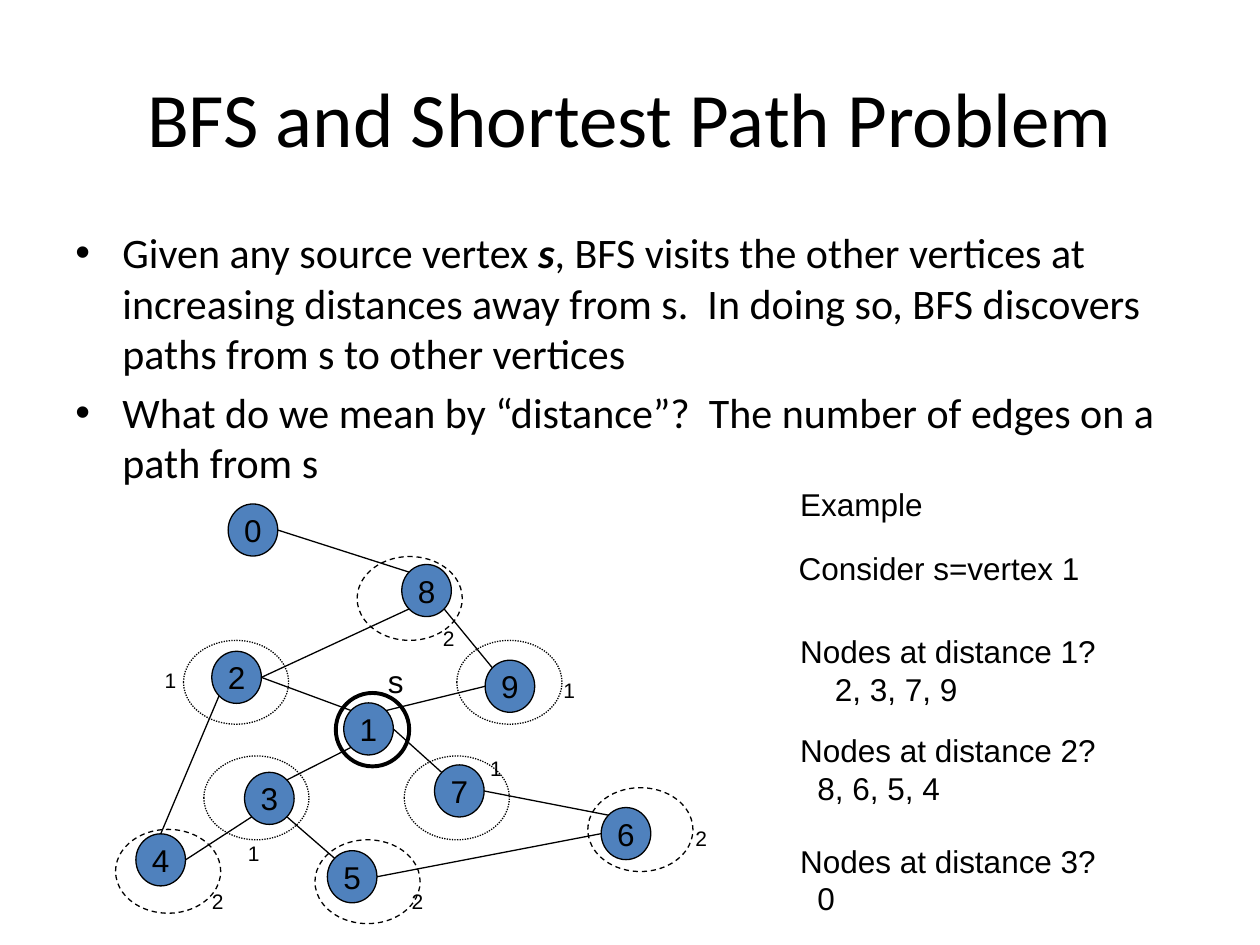
from math import cos, radians, sin

from lxml.etree import SubElement
from pptx import Presentation
from pptx.dml.color import RGBColor
from pptx.enum.dml import MSO_LINE
from pptx.enum.shapes import MSO_CONNECTOR, MSO_SHAPE
from pptx.enum.text import MSO_ANCHOR, MSO_AUTO_SIZE, PP_ALIGN
from pptx.oxml.ns import qn
from pptx.util import Cm, Pt

BLACK = "000000"
NODE_BLUE = "4F81BD"
NODE_WIDTH, NODE_HEIGHT = 1.0, 1.05
RING_WIDTH, RING_HEIGHT = 2.12, 1.69

VERTICES = {
    "2": (4.27, 13.13), "4": (2.74, 16.81), "3": (4.93, 15.57),
    "5": (6.6, 17.15), "1": (6.93, 14.17), "7": (8.76, 15.42),
    "6": (12.12, 16.28), "9": (9.78, 13.31), "8": (8.1, 11.38),
    "0": (4.6, 10.16),
}
BEARINGS = {"E": 0, "SE": 45, "SW": 135, "W": 180, "NW": 225, "N": 270, "NE": 315}
EDGES = [
    ("0", "E", "8", "NW"), ("8", "SE", "9", "NW"), ("9", "W", "1", "NE"),
    ("8", "SW", "2", "E"), ("2", "E", "1", "NW"), ("2", "SW", "4", "N"),
    ("4", "E", "3", "SW"), ("3", "NE", "1", "SW"), ("3", "SE", "5", "NW"),
    ("5", "E", "6", "W"), ("1", "E", "7", "NW"), ("7", "E", "6", "NW"),
]
DISTANCE_LEVELS = [
    ("1", MSO_LINE.ROUND_DOT,
     [(3.7, 12.91), (4.11, 15.24), (8.15, 15.24), (9.21, 12.91)],
     [(11.11, 13.53), (9.63, 15.11), (3.07, 13.34), (4.75, 16.81)]),
    ("2", MSO_LINE.DASH,
     [(7.2, 11.22), (2.33, 16.72), (6.35, 16.93), (11.85, 15.88)],
     [(13.77, 16.51), (8.05, 17.78), (4.02, 17.78), (8.68, 12.49)]),
]
BULLETS = [
    [("Given any source vertex ", False), ("s", True),
     (", BFS visits the other vertices at increasing distances away from s.  "
      "In doing so, BFS discovers paths from s to other vertices", False)],
    [("What do we mean by “distance”?  The number of edges on a path from s", False)],
]
QUESTIONS = [
    (12.62, "Nodes at distance 1?", "2, 3, 7, 9", 0.7),
    (14.61, "Nodes at distance 2?", "8, 6, 5, 4", 0.35),
    (16.84, "Nodes at distance 3?", "0", 0.35),
]


def rgb(value):
    """Turn a hex string into a colour."""
    return RGBColor.from_string(value)


def style_runs(paragraph, size, font="Arial"):
    """Apply size, font and black to every run of a paragraph."""
    for run in paragraph.runs:
        run.font.size = Pt(size)
        run.font.name = font
        run.font.color.rgb = rgb(BLACK)


def set_indent(paragraph, margin, first_line=0):
    """Set the left margin and first-line indent in centimetres."""
    properties = paragraph._p.get_or_add_pPr()
    properties.set("marL", str(Cm(margin)))
    properties.set("indent", str(Cm(first_line)))
    return properties


def add_title(slide, text):
    """Place and format the title placeholder."""
    title = slide.shapes.title
    title.left, title.top = Cm(1.27), Cm(0.76)
    title.width, title.height = Cm(22.86), Cm(3.18)
    title.text_frame.text = text
    title.text_frame.vertical_anchor = MSO_ANCHOR.MIDDLE
    heading = title.text_frame.paragraphs[0]
    heading.alignment = PP_ALIGN.CENTER
    style_runs(heading, 44, "Calibri")


def add_bullets(slide, bullets):
    """Add the bulleted explanation."""
    body = slide.shapes.add_textbox(Cm(1.27), Cm(4.45), Cm(22.86), Cm(12.57))
    frame = body.text_frame
    frame.word_wrap = True
    for index, pieces in enumerate(bullets):
        bullet = frame.add_paragraph() if index else frame.paragraphs[0]
        bullet.space_before = Pt(4.8)
        for text, emphasised in pieces:
            run = bullet.add_run()
            run.text = text
            run.font.bold = run.font.italic = emphasised
        style_runs(bullet, 24, "Calibri")
        properties = set_indent(bullet, 0.95, -0.95)
        SubElement(properties, qn("a:buFont"), typeface="Arial")
        SubElement(properties, qn("a:buChar"), char="•")


def add_label(shapes, left, top, width, height, lines, size=18):
    """Add unwrapped text, one paragraph a line."""
    label = shapes.add_textbox(Cm(left), Cm(top), Cm(width), Cm(height))
    frame = label.text_frame
    frame.text = "\n".join(lines)
    frame.word_wrap = False
    frame.auto_size = MSO_AUTO_SIZE.SHAPE_TO_FIT_TEXT
    for paragraph in frame.paragraphs:
        style_runs(paragraph, size)
    return frame


def add_ellipse(shapes, left, top, width, height, line_width=0.75):
    """Add an unfilled ellipse with a black outline."""
    ellipse = shapes.add_shape(MSO_SHAPE.OVAL, Cm(left), Cm(top), Cm(width), Cm(height))
    ellipse.shadow.inherit = False
    ellipse.fill.background()
    ellipse.line.color.rgb = rgb(BLACK)
    ellipse.line.width = Pt(line_width)
    return ellipse


def add_vertex(shapes, name, left, top):
    """Add a numbered graph vertex."""
    vertex = add_ellipse(shapes, left, top, NODE_WIDTH, NODE_HEIGHT)
    vertex.fill.solid()
    vertex.fill.fore_color.rgb = rgb(NODE_BLUE)
    frame = vertex.text_frame
    frame.text = name
    frame.word_wrap = False
    frame.vertical_anchor = MSO_ANCHOR.MIDDLE
    frame.paragraphs[0].alignment = PP_ALIGN.CENTER
    style_runs(frame.paragraphs[0], 18)


def rim_point(name, bearing):
    """Find the point on a vertex's rim in a compass direction."""
    left, top = VERTICES[name]
    angle = radians(BEARINGS[bearing])
    return (Cm(left + NODE_WIDTH / 2 * (1 + cos(angle))),
            Cm(top + NODE_HEIGHT / 2 * (1 + sin(angle))))


def add_edge(shapes, start, start_side, end, end_side):
    """Join two vertices with a straight line."""
    edge = shapes.add_connector(
        MSO_CONNECTOR.STRAIGHT, *rim_point(start, start_side), *rim_point(end, end_side))
    edge.line.color.rgb = rgb(BLACK)
    edge.line.width = Pt(0.75)
    SubElement(edge._element.spPr, qn("a:effectLst"))


def add_graph(slide):
    """Add the vertices and edges as one group."""
    graph = slide.shapes.add_group_shape().shapes
    for name, (left, top) in VERTICES.items():
        add_vertex(graph, name, left, top)
    for edge in EDGES:
        add_edge(graph, *edge)


def add_distance_level(slide, distance, dash, rings, labels):
    """Ring and label the vertices at one distance."""
    level = slide.shapes.add_group_shape().shapes
    for left, top in rings:
        add_ellipse(level, left, top, RING_WIDTH, RING_HEIGHT).line.dash_style = dash
    for left, top in labels:
        add_label(level, left, top, 0.74, 0.76, [distance], 12)


def add_source_mark(slide):
    """Ring the source vertex and label it."""
    source = slide.shapes.add_group_shape().shapes
    add_ellipse(source, 6.77, 13.97, 1.48, 1.48, 2.25)
    add_label(source, 7.57, 13.23, 0.83, 1.02, ["s"])


def add_question(slide, top, question, answer, indent):
    """Add a question with its indented answer."""
    frame = add_label(slide.shapes, 15.88, top, 6.47, 1.78, [question, answer])
    set_indent(frame.paragraphs[1], indent)


def main():
    """Build and save the slide."""
    deck = Presentation()
    deck.slide_width, deck.slide_height = Cm(25.4), Cm(19.05)
    slide = deck.slides.add_slide(deck.slide_layouts[5])
    add_title(slide, "BFS and Shortest Path Problem")
    add_bullets(slide, BULLETS)
    add_graph(slide)
    for level in DISTANCE_LEVELS:
        add_distance_level(slide, *level)
    add_source_mark(slide)
    add_label(slide.shapes, 15.88, 9.65, 2.97, 1.02, ["Example"])
    add_label(slide.shapes, 15.85, 10.95, 6.17, 1.02, ["Consider s=vertex 1"])
    for question in QUESTIONS:
        add_question(slide, *question)
    deck.save("out.pptx")


if __name__ == "__main__":
    main()
